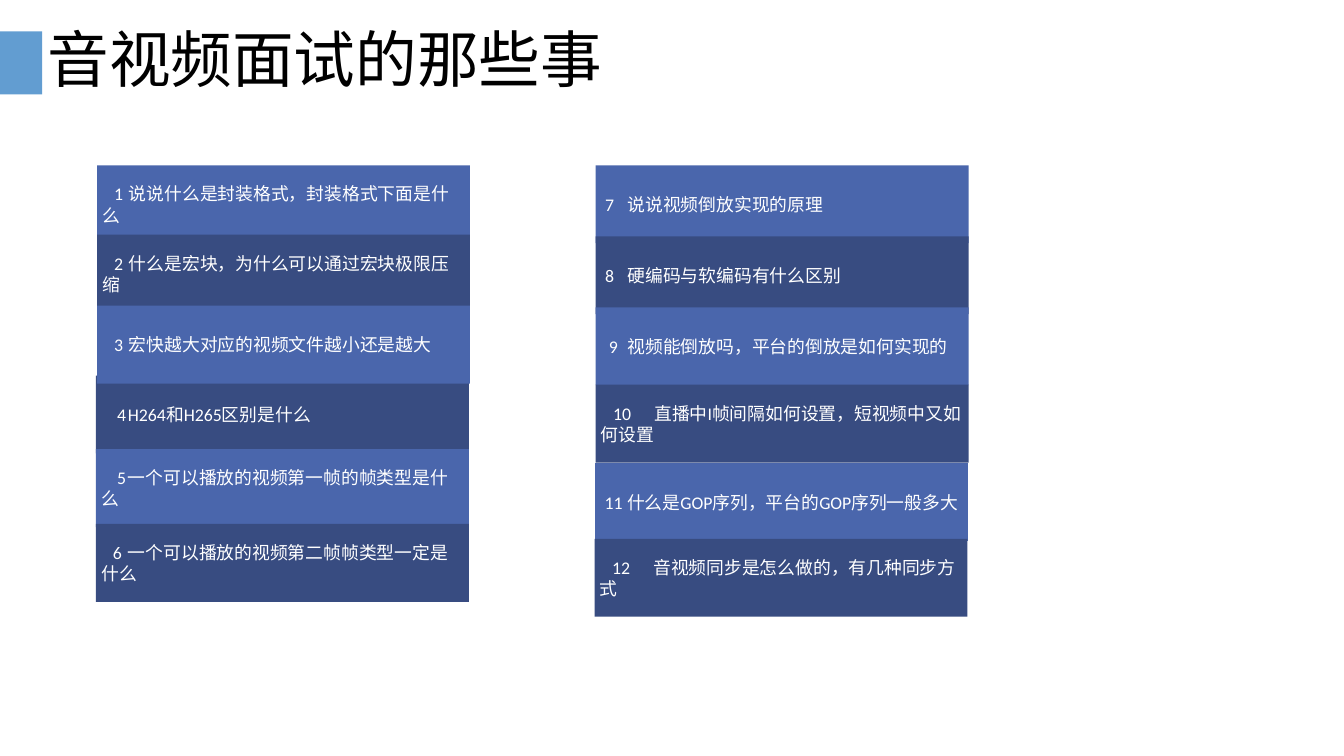
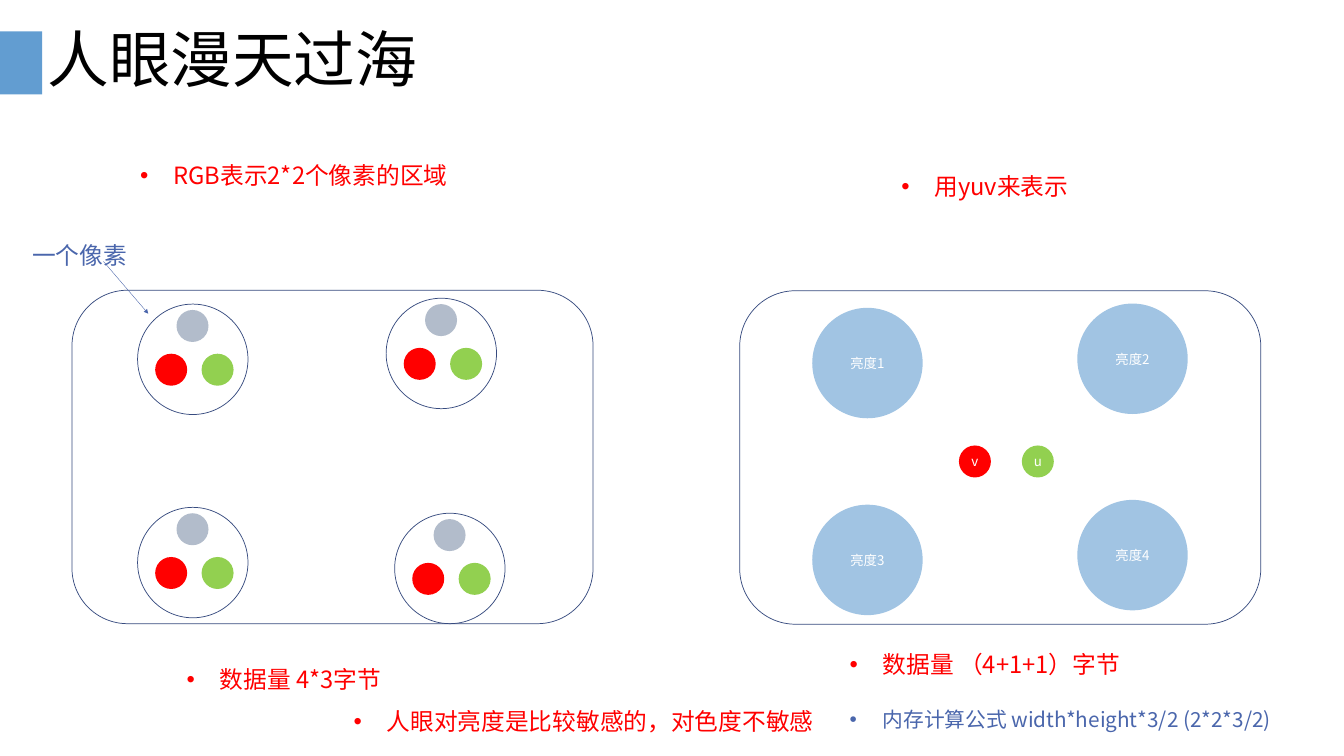
from dataclasses import dataclass

from lxml import etree
from pptx import Presentation
from pptx import util as u
from pptx.dml import color
from pptx.enum import shapes, text
from pptx.oxml import ns

HEADING_FONT = "Calibri"
BODY_FONT = "Noto Sans CJK SC"
BAND = "629DD1"
BLUE, NAVY, OUTLINE = "4A66AC", "384C81", "374B7F"
RED, GREEN, GREY, PALE_BLUE = "FF0000", "92D050", "B2BCCB", "A1C4E3"
WHITE, BLACK = "FFFFFF", "000000"

OVAL = shapes.MSO_SHAPE.OVAL
RECTANGLE = shapes.MSO_SHAPE.RECTANGLE
ROUNDED = shapes.MSO_SHAPE.ROUNDED_RECTANGLE

QUESTION_SIZE = (6.99, 1.46)
PIXEL_SIZE = (2.07, 2.07)
DOT_SIZE = (0.6, 0.6)
FRAME_SIZE = (9.77, 6.25)
BULLET_INDENT = 0.62


@dataclass(frozen=True)
class Question:
    number: int
    wording: str
    left: float
    top: float
    number_indent: float
    wording_indent: float


@dataclass(frozen=True)
class Note:
    wording: str
    left: float
    top: float
    width: float
    height: float = 0.82
    colour: str = RED
    size: float = 32
    bullet: bool = True


@dataclass(frozen=True)
class Disc:
    left: float
    top: float
    fill: str
    label: str = ""
    size: tuple[float, float] = DOT_SIZE


# Listed from back to front: the boxes overlap slightly.
QUESTIONS = [
    Question(1, "说说什么是封装格式，封装格式下面是什么", 1.82, 3.1, 0.22, 0.61),
    Question(4, "H264和H265区别是什么", 1.8, 7.04, 0.3, 0.61),
    Question(5, "一个可以播放的视频第一帧的帧类型是什么", 1.8, 8.42, 0.3, 0.69),
    Question(6, "一个可以播放的视频第二帧帧类型一定是什么", 1.8, 9.82, 0.22, 0.61),
    Question(7, "说说视频倒放实现的原理", 11.17, 3.1, 0.08, 0.57),
    Question(8, "硬编码与软编码有什么区别", 11.17, 4.43, 0.08, 0.57),
    Question(9, "视频能倒放吗，平台的倒放是如何实现的", 11.17, 5.76, 0.15, 0.57),
    Question(10, "直播中I帧间隔如何设置，短视频中又如何设置", 11.17, 7.21, 0.23, 0.79),
    Question(2, "什么是宏块，为什么可以通过宏块极限压缩", 1.82, 4.4, 0.22, 0.61),
    Question(3, "宏快越大对应的视频文件越小还是越大", 1.82, 5.73, 0.22, 0.61),
    Question(11, "什么是GOP序列，平台的GOP序列一般多大", 11.16, 8.68, 0.08, 0.63),
    Question(12, "音视频同步是怎么做的，有几种同步方式", 11.15, 10.1, 0.23, 0.79),
]

PIXELS = [(2.58, 5.7), (7.24, 5.59), (2.58, 9.51), (7.4, 9.62)]
PIXEL_DOTS = [Disc(0.73, 0.11, GREY), Disc(0.33, 0.93, RED), Disc(1.2, 0.93, GREEN)]

YUV_DISCS = [
    Disc(15.23, 5.77, PALE_BLUE, "亮度1", PIXEL_SIZE),
    Disc(20.2, 5.69, PALE_BLUE, "亮度2", PIXEL_SIZE),
    Disc(15.23, 9.46, PALE_BLUE, "亮度3", PIXEL_SIZE),
    Disc(20.2, 9.37, PALE_BLUE, "亮度4", PIXEL_SIZE),
    Disc(17.98, 8.35, RED, "v"),
    Disc(19.16, 8.35, GREEN, "u"),
]

FRAMES = [(1.35, 5.44), (13.87, 5.45)]

NOTES = [
    Note("RGB表示2*2个像素的区域", 2.58, 2.7, 19.37),
    Note("一个像素", 0.55, 4.2, 3.02, colour=BLUE, bullet=False),
    Note("用yuv来表示", 16.85, 2.91, 4.6),
    Note("人眼对亮度是比较敏感的，对色度不敏感", 6.58, 12.93, 19.37),
    Note("数据量 4*3字节", 3.45, 12.14, 7.77),
    Note("数据量 （4+1+1）字节", 15.88, 11.86, 7.77),
    Note("内存计算公式 width*height*3/2 (2*2*3/2)", 15.88, 12.96, 10.57, 0.73, BLUE, 28),
]


def rgb(value: str) -> color.RGBColor:
    return color.RGBColor.from_string(value)


def format_runs(paragraph, size: float, colour: str, font: str) -> None:
    for run in paragraph.runs:
        run.font.size = u.Pt(size)
        run.font.name = font
        run.font.color.rgb = rgb(colour)
        east_asian = etree.SubElement(run.font._element, ns.qn("a:ea"))
        east_asian.set("typeface", BODY_FONT)


def set_indent(paragraph, margin: float, first_line: float):
    """Set the left margin and first-line indent; return the paragraph properties."""
    properties = paragraph._p.get_or_add_pPr()
    properties.set("marL", str(u.Inches(margin)))
    properties.set("indent", str(u.Inches(first_line)))
    return properties


def add_figure(slide, kind, left: float, top: float, size: tuple[float, float],
               fill: str | None = None, line: str | None = None):
    shape = slide.shapes.add_shape(kind, *map(u.Inches, (left, top, *size)))
    shape.shadow.inherit = False
    if fill:
        shape.fill.solid()
        shape.fill.fore_color.rgb = rgb(fill)
    else:
        shape.fill.background()
    if line:
        shape.line.color.rgb = rgb(line)
        shape.line.width = u.Pt(1)
    else:
        shape.line.fill.background()
    return shape


def add_titled_slide(presentation, title: str):
    slide = presentation.slides.add_slide(presentation.slide_layouts[5])
    add_figure(slide, RECTANGLE, 0, 0.59, (0.79, 1.18), BAND)
    shape = slide.shapes.title
    shape.left, shape.top, shape.width, shape.height = map(u.Inches, (0.79, 0.57, 23.62, 1.2))
    frame = shape.text_frame
    frame.text = title
    frame.word_wrap = True
    frame.auto_size = text.MSO_AUTO_SIZE.NONE
    frame.vertical_anchor = text.MSO_ANCHOR.MIDDLE
    paragraph = frame.paragraphs[0]
    paragraph.alignment = text.PP_ALIGN.LEFT
    paragraph.line_spacing = 0.9
    paragraph.space_before = u.Pt(0)
    format_runs(paragraph, 83.2, BLACK, HEADING_FONT)
    return slide


def add_question(slide, question: Question) -> None:
    fill = BLUE if question.number % 2 else NAVY
    shape = add_figure(slide, RECTANGLE, question.left, question.top, QUESTION_SIZE, fill)
    frame = shape.text_frame
    frame.text = f"{question.number}\t{question.wording}"
    frame.word_wrap = True
    frame.vertical_anchor = text.MSO_ANCHOR.MIDDLE
    paragraph = frame.paragraphs[0]
    paragraph.alignment = text.PP_ALIGN.LEFT
    properties = set_indent(paragraph, 0, question.number_indent)
    tabs = etree.SubElement(properties, ns.qn("a:tabLst"))
    etree.SubElement(tabs, ns.qn("a:tab"), pos=str(u.Inches(question.wording_indent)), algn="l")
    format_runs(paragraph, 24, WHITE, HEADING_FONT)


def add_note(slide, note: Note) -> None:
    box = slide.shapes.add_textbox(
        *map(u.Inches, (note.left, note.top, note.width, note.height)))
    frame = box.text_frame
    frame.text = note.wording
    frame.word_wrap = True
    frame.auto_size = text.MSO_AUTO_SIZE.SHAPE_TO_FIT_TEXT
    frame.margin_left = frame.margin_right = u.Inches(0.05)
    frame.margin_top = frame.margin_bottom = u.Inches(0.05)
    paragraph = frame.paragraphs[0]
    paragraph.line_spacing = 1.5
    if note.bullet:
        properties = set_indent(paragraph, BULLET_INDENT, -BULLET_INDENT)
        etree.SubElement(properties, ns.qn("a:buFont"), typeface="Arial")
        etree.SubElement(properties, ns.qn("a:buChar"), char="•")
    format_runs(paragraph, note.size, note.colour, BODY_FONT)


def add_disc(slide, disc: Disc, left: float = 0, top: float = 0) -> None:
    """Draw a disc, placed relative to the given corner."""
    shape = add_figure(slide, OVAL, left + disc.left, top + disc.top, disc.size, disc.fill)
    if disc.label:
        frame = shape.text_frame
        frame.text = disc.label
        frame.vertical_anchor = text.MSO_ANCHOR.MIDDLE
        paragraph = frame.paragraphs[0]
        paragraph.alignment = text.PP_ALIGN.CENTER
        format_runs(paragraph, 18, WHITE, BODY_FONT)


def add_pixel(slide, left: float, top: float) -> None:
    add_figure(slide, OVAL, left, top, PIXEL_SIZE, line=OUTLINE)
    for dot in PIXEL_DOTS:
        add_disc(slide, dot, left, top)


def add_arrow(slide, start: tuple[float, float], end: tuple[float, float]) -> None:
    connector = slide.shapes.add_connector(
        shapes.MSO_CONNECTOR.STRAIGHT, *map(u.Inches, (*start, *end)))
    connector.line.color.rgb = rgb(BLUE)
    connector.line.width = u.Pt(0.5)
    etree.SubElement(connector.line._get_or_add_ln(), ns.qn("a:tailEnd"), type="triangle")
    etree.SubElement(connector._element.spPr, ns.qn("a:effectLst"))


def build_questions(presentation) -> None:
    slide = add_titled_slide(presentation, "音视频面试的那些事")
    for question in QUESTIONS:
        add_question(slide, question)


def build_colour_models(presentation) -> None:
    slide = add_titled_slide(presentation, "人眼漫天过海")
    for left, top in PIXELS:
        add_pixel(slide, left, top)
    for disc in YUV_DISCS:
        add_disc(slide, disc)
    for left, top in FRAMES:
        add_figure(slide, ROUNDED, left, top, FRAME_SIZE, line=OUTLINE)
    for note in NOTES:
        add_note(slide, note)
    add_arrow(slide, (1.94, 4.9), (2.78, 5.88))


def main() -> None:
    presentation = Presentation()
    presentation.slide_width = u.Inches(25.2)
    presentation.slide_height = u.Inches(14.17)
    build_questions(presentation)
    build_colour_models(presentation)
    presentation.save("out.pptx")


if __name__ == "__main__":
    main()
